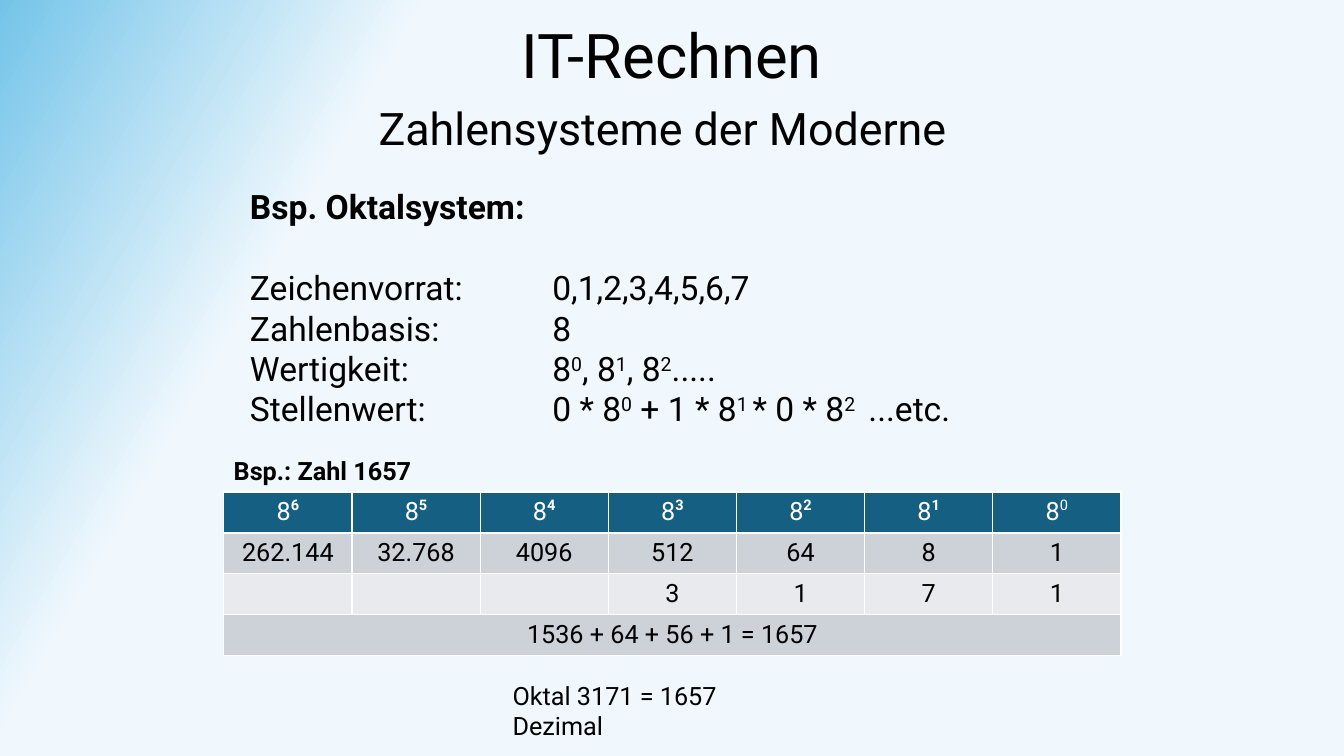
"""Build the slide about the octal number system."""
from dataclasses import dataclass

from lxml import etree
from pptx import Presentation
from pptx.dml.color import RGBColor
from pptx.enum.text import MSO_ANCHOR, PP_ALIGN
from pptx.oxml.ns import qn
from pptx.util import Cm, Pt

LEFT, CENTER = PP_ALIGN.LEFT, PP_ALIGN.CENTER
TOP, MIDDLE = MSO_ANCHOR.TOP, MSO_ANCHOR.MIDDLE

BLACK = RGBColor(0x00, 0x00, 0x00)
WHITE = RGBColor(0xFF, 0xFF, 0xFF)
PALE_BLUE = RGBColor(0xF0, 0xF8, 0xFD)
SKY_BLUE = RGBColor(0x74, 0xC4, 0xE9)
HEADER_BLUE = RGBColor(0x15, 0x60, 0x82)
DARK_BAND = RGBColor(0xCC, 0xD2, 0xD8)
LIGHT_BAND = RGBColor(0xE8, 0xEA, 0xED)

FONT = "Roboto"
TAB_STOP = Cm(7.62)
COLUMN_WIDTH, ROW_HEIGHT = Cm(3.23), Cm(1.03)


@dataclass(frozen=True)
class Line:
    text: str
    bold: bool = False
    space_before: float = 0


@dataclass(frozen=True)
class TextBlock:
    left: float
    top: float
    width: float
    height: float
    size: float
    lines: tuple[Line, ...]
    align: PP_ALIGN = LEFT
    anchor: MSO_ANCHOR = TOP


@dataclass(frozen=True)
class Row:
    cells: tuple[str, ...]
    fill: RGBColor
    color: RGBColor = BLACK


BLOCKS = (
    TextBlock(0, 0.3, 33.87, 2.11, 44, (Line("IT-Rechnen"),), CENTER, MIDDLE),
    TextBlock(0, 2.41, 33.41, 1.63, 32, (Line("Zahlensysteme der Moderne"),), CENTER),
    TextBlock(6.05, 4.57, 22.76, 6.4, 24, (
        Line("Bsp. Oktalsystem:", bold=True),
        Line("Zeichenvorrat:\t0,1,2,3,4,5,6,7", space_before=29),
        Line("Zahlenbasis:\t8"),
        Line("Wertigkeit:\t8^0^, 8^1^, 8^2^....."),
        Line("Stellenwert:\t0 * 8^0^ + 1 * 8^1 ^* 0 * 8^2 ^ ...etc."),
    )),
    TextBlock(5.64, 11.35, 5.56, 1.02, 18, (Line("Bsp.: Zahl 1657", bold=True),)),
    TextBlock(12.67, 17.02, 7.87, 1.02, 18, (Line("Oktal 3171 = 1657 Dezimal"),)),
)

ROWS = (
    Row(tuple(f"8^{power}" for power in range(6, -1, -1)), HEADER_BLUE, WHITE),
    Row(("262.144", "32.768", "4096", "512", "64", "8", "1"), DARK_BAND),
    Row(("", "", "", "3", "1", "7", "1"), LIGHT_BAND),
    Row(("1536 + 64 + 56 + 1 = 1657",), DARK_BAND),
)


def write_text(para, text: str, *, size: float, color: RGBColor = BLACK,
               bold: bool = False, bold_raised: bool = False,
               raise_by: int = 30, align: PP_ALIGN = LEFT) -> None:
    """Write text in which every second part between carets is superscript."""
    para.alignment = align
    for index, part in enumerate(text.split("^")):
        if not part:
            continue
        raised = index % 2 == 1
        span = para.add_run()
        span.text = part
        span.font.name = FONT
        span.font.size = Pt(size)
        span.font.color.rgb = color
        span.font.bold = bold or (raised and bold_raised)
        if raised:
            span.font._element.set("baseline", str(raise_by * 1000))


def add_tab_stop(para) -> None:
    """Give the paragraph one left tab stop."""
    tabs = etree.SubElement(para._p.get_or_add_pPr(), qn("a:tabLst"))
    etree.SubElement(tabs, qn("a:tab"), pos=str(TAB_STOP), algn="l")


def add_block(page, block: TextBlock) -> None:
    """Add a text box with its lines."""
    box = page.shapes.add_textbox(Cm(block.left), Cm(block.top),
                                  Cm(block.width), Cm(block.height))
    frame = box.text_frame
    frame.word_wrap = True
    frame.vertical_anchor = block.anchor
    for index, line in enumerate(block.lines):
        para = frame.add_paragraph() if index else frame.paragraphs[0]
        if "\t" in line.text:
            add_tab_stop(para)
        if line.space_before:
            para.space_before = Pt(line.space_before)
        write_text(para, line.text, size=block.size, bold=line.bold, align=block.align)


def add_borders(cell) -> None:
    """Draw thin white borders around a cell."""
    properties = cell._tc.get_or_add_tcPr()
    for index, side in enumerate(("lnL", "lnR", "lnT", "lnB")):
        border = etree.Element(qn(f"a:{side}"), w=str(Pt(1)))
        fill = etree.SubElement(border, qn("a:solidFill"))
        etree.SubElement(fill, qn("a:srgbClr"), val=str(WHITE))
        properties.insert(index, border)


def add_place_values(page) -> None:
    """Add the table of place values."""
    count = len(ROWS[0].cells)
    table = page.shapes.add_table(len(ROWS), count, Cm(5.64), Cm(12.4),
                                  COLUMN_WIDTH * count, ROW_HEIGHT * len(ROWS)).table
    table.first_row = table.horz_banding = False
    for column in table.columns:
        column.width = COLUMN_WIDTH
    for row_index, row in enumerate(ROWS):
        table.rows[row_index].height = ROW_HEIGHT
        for column_index in range(count):
            cell = table.cell(row_index, column_index)
            cell.fill.solid()
            cell.fill.fore_color.rgb = row.fill
            add_borders(cell)
        if len(row.cells) == 1:
            table.cell(row_index, 0).merge(table.cell(row_index, count - 1))
        for column_index, text in enumerate(row.cells):
            write_text(table.cell(row_index, column_index).text_frame.paragraphs[0],
                       text, size=18, color=row.color, raise_by=40,
                       bold_raised=column_index < count - 1, align=CENTER)


def paint_background(page) -> None:
    """Fill the page with a gradient that darkens to the upper left."""
    fill = page.background.fill
    fill.gradient()
    fill.gradient_angle = 150
    for stop, position, color in zip(fill.gradient_stops, (0.76, 1.0),
                                     (PALE_BLUE, SKY_BLUE)):
        stop.position = position
        stop.color.rgb = color


def main() -> None:
    """Build and save the deck."""
    deck = Presentation()
    deck.slide_width, deck.slide_height = Cm(33.87), Cm(19.05)
    page = deck.slides.add_slide(deck.slide_layouts[6])
    paint_background(page)
    for block in BLOCKS:
        add_block(page, block)
    add_place_values(page)
    deck.save("out.pptx")


if __name__ == "__main__":
    main()
